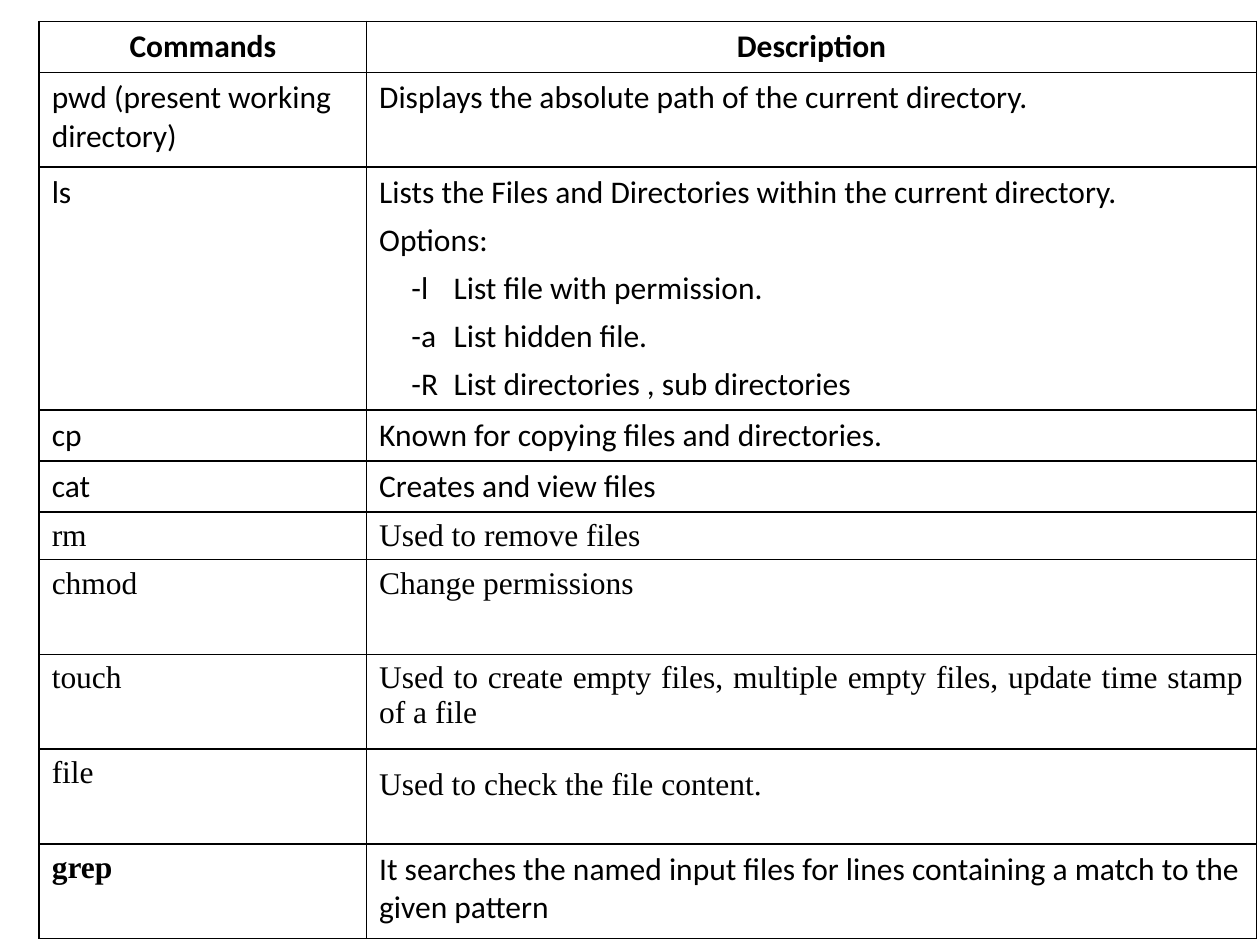
from dataclasses import dataclass

from lxml import etree
from pptx import Presentation
from pptx.dml.color import RGBColor
from pptx.enum.text import PP_ALIGN
from pptx.oxml.ns import qn
from pptx.table import _Cell
from pptx.util import Cm, Pt

BLACK = RGBColor(0x00, 0x00, 0x00)
WHITE = RGBColor(0xFF, 0xFF, 0xFF)
SANS = "Calibri"
SERIF = "Times New Roman"
LEFT, CENTER, JUSTIFY = PP_ALIGN.LEFT, PP_ALIGN.CENTER, PP_ALIGN.JUSTIFY
BLANK_LAYOUT = 6
COLUMN_WIDTHS = (Cm(6.6), Cm(17.94))
OPTION_MARGIN, OPTION_HANGING = Cm(1.5), Cm(-0.85)


@dataclass(frozen=True)
class Entry:
    """The content of one table cell, one string per paragraph."""
    lines: tuple[str, ...]
    font: str = SANS
    bold: bool = False
    align: PP_ALIGN = LEFT
    line_spacing: float = 1.0


@dataclass(frozen=True)
class CommandRow:
    height: Cm
    command: Entry
    description: Entry


ROWS = (
    CommandRow(Cm(0.91),
               Entry(("Commands",), bold=True, align=CENTER),
               Entry(("Description",), bold=True, align=CENTER)),
    CommandRow(Cm(1.91),
               Entry(("pwd (present working directory)",)),
               Entry(("Displays the absolute path of the current directory.",))),
    CommandRow(Cm(4.67),
               Entry(("ls",)),
               Entry(("Lists the Files and Directories within the current directory.",
                      "Options:",
                      "-l\tList file with permission.",
                      "-a\tList hidden file.",
                      "-R\tList directories , sub directories"))),
    CommandRow(Cm(0.97),
               Entry(("cp",)),
               Entry(("Known for copying files and directories.",))),
    CommandRow(Cm(0.94),
               Entry(("cat",)),
               Entry(("Creates and view files",))),
    CommandRow(Cm(0.91),
               Entry(("rm",), SERIF),
               Entry(("Used to remove files",), SERIF)),
    CommandRow(Cm(1.91),
               Entry(("chmod",), SERIF),
               Entry(("Change permissions",), SERIF)),
    CommandRow(Cm(1.91),
               Entry(("touch",), SERIF),
               Entry(("Used to create empty files, multiple empty files, "
                      "update time stamp of a file",), SERIF, align=JUSTIFY)),
    CommandRow(Cm(1.91),
               Entry(("file",), SERIF),
               Entry(("Used to check the file content.",), SERIF,
                     align=JUSTIFY, line_spacing=1.35)),
    CommandRow(Cm(1.91),
               Entry(("grep",), SERIF, bold=True),
               Entry(("It searches the named input files for lines containing "
                      "a match to the given pattern",))),
)


def add_borders(cell: _Cell) -> None:
    properties = cell._tc.get_or_add_tcPr()
    for position, side in enumerate(("a:lnL", "a:lnR", "a:lnT", "a:lnB")):
        border = etree.Element(qn(side), w=str(Pt(1)))
        fill = etree.SubElement(border, qn("a:solidFill"))
        etree.SubElement(fill, qn("a:srgbClr"), val=str(BLACK))
        properties.insert(position, border)


def fill_cell(cell: _Cell, entry: Entry) -> None:
    cell.fill.solid()
    cell.fill.fore_color.rgb = WHITE
    add_borders(cell)
    cell.text = "\n".join(entry.lines)
    for index, paragraph in enumerate(cell.text_frame.paragraphs):
        paragraph.alignment = entry.align
        paragraph.line_spacing = entry.line_spacing
        if index > 0:
            paragraph.space_before = Pt(5.4)
        if "\t" in paragraph.text:
            indents = paragraph._p.get_or_add_pPr()
            indents.set("marL", str(OPTION_MARGIN))
            indents.set("indent", str(OPTION_HANGING))
        font = paragraph.font
        font.name = entry.font
        font.size = Pt(18)
        font.bold = entry.bold
        font.color.rgb = BLACK


def main() -> None:
    presentation = Presentation()
    presentation.slide_width = Cm(25.4)
    presentation.slide_height = Cm(19.05)
    slide = presentation.slides.add_slide(presentation.slide_layouts[BLANK_LAYOUT])

    table = slide.shapes.add_table(
        len(ROWS), len(COLUMN_WIDTHS), Cm(0.79), Cm(0.43),
        sum(COLUMN_WIDTHS), sum(row.height for row in ROWS)).table
    table.first_row = False
    table.horz_banding = False
    for column, width in zip(table.columns, COLUMN_WIDTHS):
        column.width = width
    for table_row, row in zip(table.rows, ROWS):
        table_row.height = row.height
        for cell, entry in zip(table_row.cells, (row.command, row.description)):
            fill_cell(cell, entry)

    presentation.save("out.pptx")


if __name__ == "__main__":
    main()
